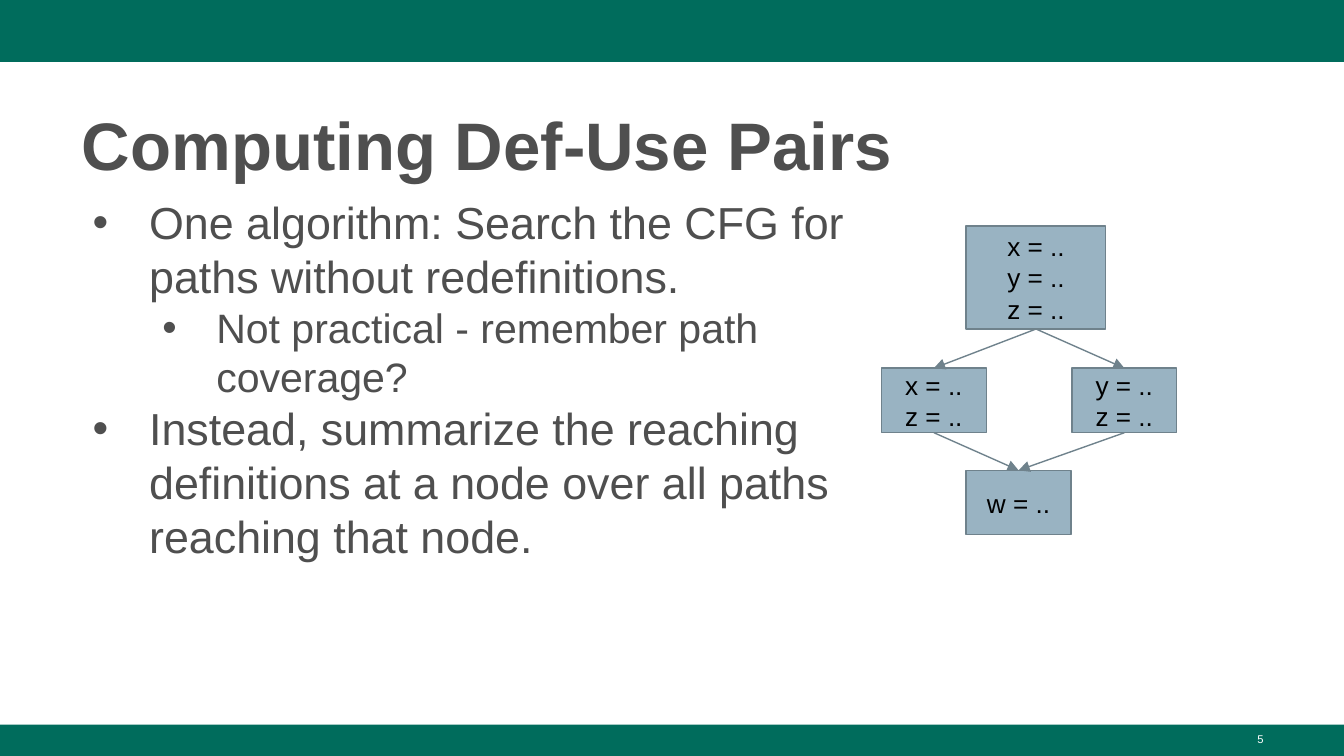
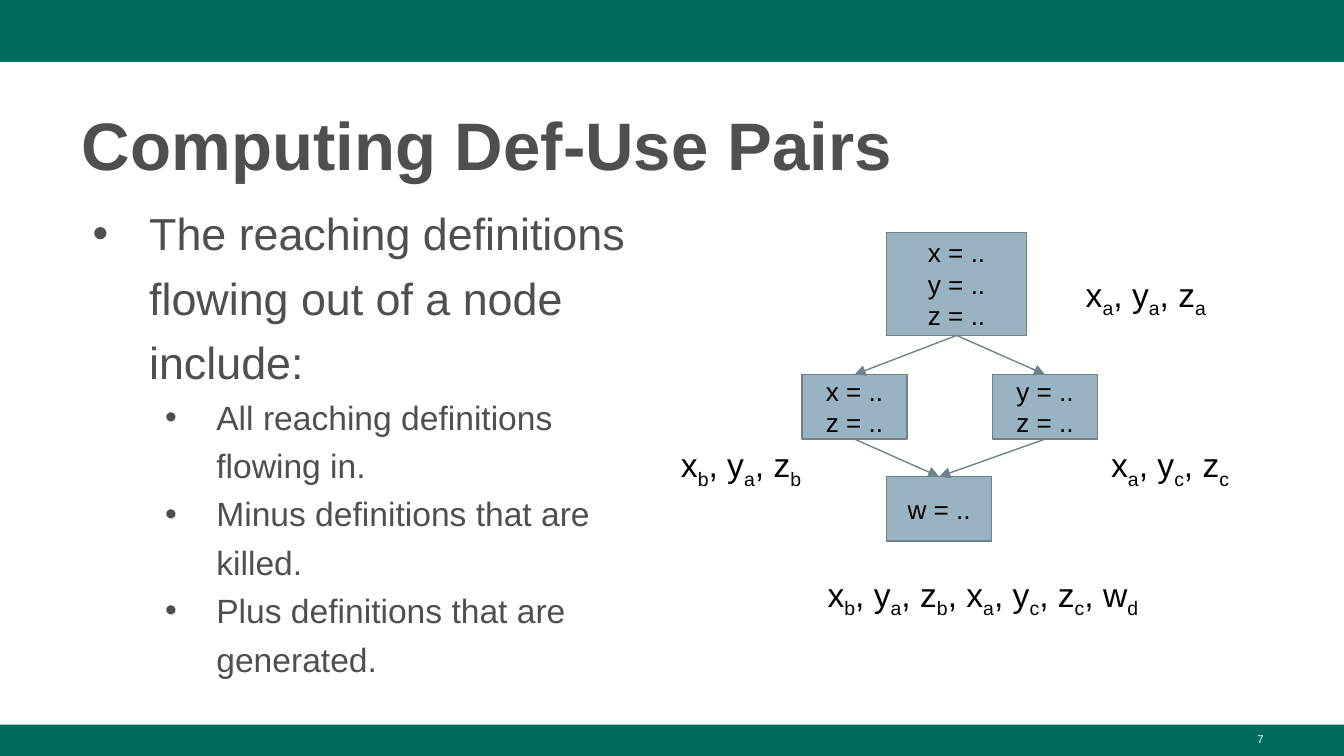
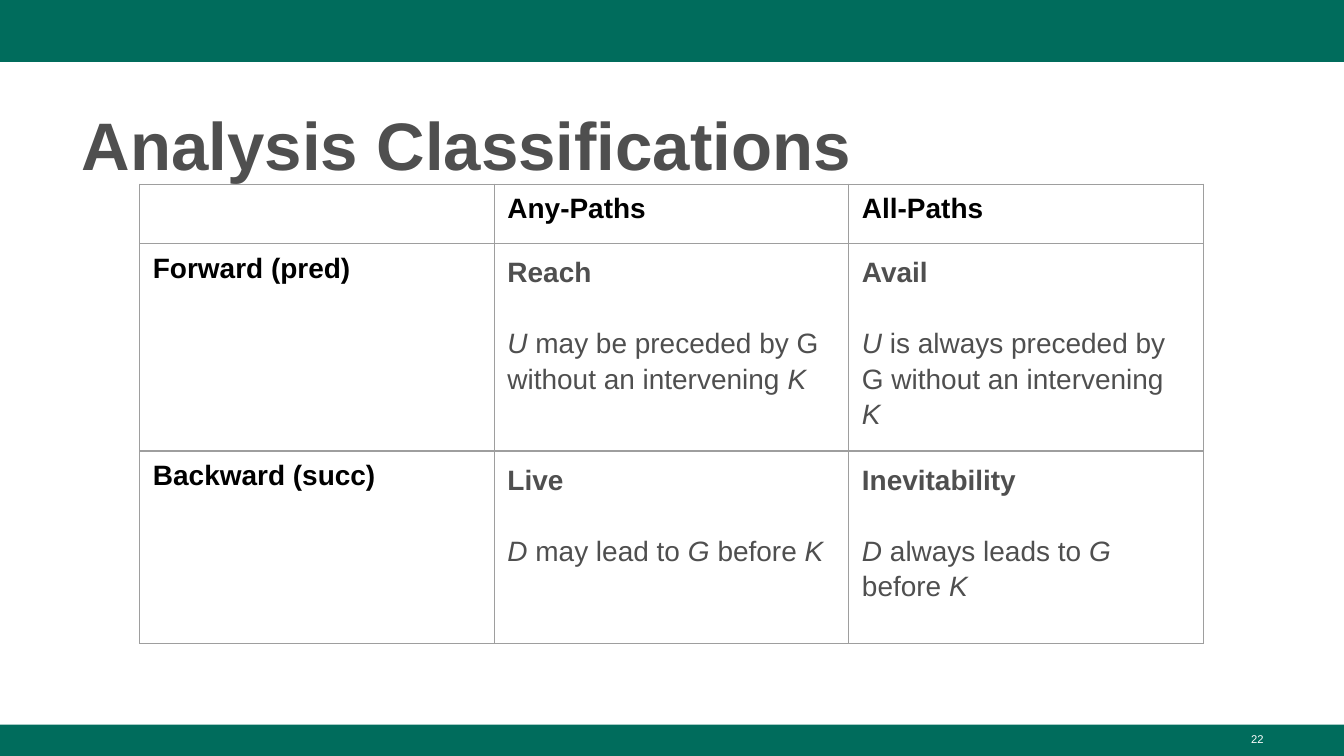
from dataclasses import dataclass
from typing import NamedTuple

from lxml import etree
from pptx import Presentation
from pptx.dml.color import RGBColor
from pptx.enum.shapes import MSO_CONNECTOR, MSO_SHAPE
from pptx.enum.text import MSO_ANCHOR, PP_ALIGN
from pptx.oxml.ns import qn
from pptx.util import Cm, Pt

RECTANGLE = MSO_SHAPE.RECTANGLE
STRAIGHT = MSO_CONNECTOR.STRAIGHT
MIDDLE, TOP = MSO_ANCHOR.MIDDLE, MSO_ANCHOR.TOP
LEFT, CENTER, RIGHT = PP_ALIGN.LEFT, PP_ALIGN.CENTER, PP_ALIGN.RIGHT
SIDE_TOP, SIDE_BOTTOM = 0, 2

FONT = "Arial"
COLORS = {
    "band": "006C5C",
    "text": "4F4F4F",
    "black": "000000",
    "white": "FFFFFF",
    "node": "99B3C2",
    "edge": "6F828C",
    "grid": "9E9E9E",
}
PAGE_WIDTH, PAGE_HEIGHT = 25.4, 14.29
WIDE_INSET, THIN_INSET, CELL_INSET = 0.25, 0.13, 0.18
LINE_WIDTH = Pt(0.75)


class Area(NamedTuple):
    """A rectangle in centimetres."""
    left: float
    top: float
    width: float
    height: float

    def lengths(self) -> tuple:
        return tuple(Cm(value) for value in self)


@dataclass
class Style:
    size: float
    color: str = "text"
    bold: bool = False


@dataclass
class Bullet:
    text: str
    size: float
    level: int = 0
    hanging: float = 1.07


@dataclass
class Node:
    """A flow graph node, placed relative to the graph's corner."""
    area: Area
    lines: list[str]


@dataclass
class Label:
    """Definitions such as "xa yb": a variable and its subscript."""
    area: Area
    definitions: str


BANDS = [Area(0, 0, PAGE_WIDTH, 1.17), Area(0, 13.7, PAGE_WIDTH, 0.59)]
TITLE_AREA = Area(1.3, 1.7, 22.83, 1.86)
NUMBER_AREA = Area(18.21, 13.72, 5.92, 0.58)

TITLE_STYLE = Style(36, bold=True)
NUMBER_STYLE = Style(6, "white")
NODE_STYLE = Style(14, "black")
LABEL_STYLE = Style(18, "black")
HEADING_STYLE = Style(15, "black", bold=True)
NAME_STYLE = Style(15, bold=True)
CELL_STYLE = Style(15)

NODES = {
    "a": Node(Area(0, 0, 2.64, 1.95), ["x = ..", "y = ..", "z = .."]),
    "b": Node(Area(-1.6, 2.69, 1.98, 1.22), ["x = ..", "z = .."]),
    "c": Node(Area(2, 2.69, 1.98, 1.22), ["y = ..", "z = .."]),
    "d": Node(Area(0, 4.62, 1.98, 1.22), ["w = .."]),
}
EDGES = ["ab", "ac", "bd", "cd"]

SEARCH_BULLETS = [
    Bullet("One algorithm: Search the CFG for paths without redefinitions.", 24),
    Bullet("Not practical - remember path coverage?", 22, 1, 1.02),
    Bullet("Instead, summarize the reaching definitions at a node over all "
           "paths reaching that node.", 24),
]
FLOW_BULLETS = [
    Bullet("The reaching definitions flowing out of a node include:", 24),
    Bullet("All reaching definitions flowing in.", 18, 1, 0.97),
    Bullet("Minus definitions that are killed.", 18, 1, 0.97),
    Bullet("Plus definitions that are generated.", 18, 1, 0.97),
]
LABELS = [
    Label(Area(20.27, 4.93, 3.38, 1.55), "xa ya za"),
    Label(Area(20.75, 8.15, 3.38, 1.55), "xa yc zc"),
    Label(Area(12.62, 8.15, 3.38, 1.55), "xb ya zb"),
    Label(Area(15.39, 10.59, 7.24, 1.55), "xb ya zb xa yc zc wd"),
]

COLUMN_HEADS = ["Any-Paths", "All-Paths"]
ROW_HEADS = ["Forward (pred)", "Backward (succ)"]
# Asterisks enclose italics.
ANALYSES = [
    [("Reach", "*U *may be preceded by G without an intervening *K*"),
     ("Avail", "*U *is always preceded by G without an intervening *K*")],
    [("Live", "*D *may lead to *G* before *K*"),
     ("Inevitability", "*D *always leads to *G* before *K*")],
]
TABLE_CORNER = (2.64, 3.48)
COLUMN_WIDTH = 6.7
ROW_HEIGHTS = [1.1, 3.73, 3.64]


def rgb(name: str) -> RGBColor:
    return RGBColor.from_string(COLORS[name])


def add_span(para, text: str, style: Style, italic: bool = False):
    span = para.add_run()
    span.text = text
    span.font.name = FONT
    span.font.size = Pt(style.size)
    span.font.bold = style.bold
    span.font.italic = italic
    span.font.color.rgb = rgb(style.color)
    return span


def next_para(frame, first: bool):
    return frame.paragraphs[0] if first else frame.add_paragraph()


def set_frame(frame, side: float, upright: float, anchor=TOP) -> None:
    frame.word_wrap = True
    frame.vertical_anchor = anchor
    frame.margin_left = frame.margin_right = Cm(side)
    frame.margin_top = frame.margin_bottom = Cm(upright)


def add_text_box(page, area: Area, upright: float = THIN_INSET):
    frame = page.shapes.add_textbox(*area.lengths()).text_frame
    set_frame(frame, WIDE_INSET, upright)
    return frame


def add_rectangle(page, area: Area, fill: str, line: str | None = None):
    box = page.shapes.add_shape(RECTANGLE, *area.lengths())
    box.shadow.inherit = False
    box.fill.solid()
    box.fill.fore_color.rgb = rgb(fill)
    if line:
        box.line.color.rgb = rgb(line)
        box.line.width = LINE_WIDTH
    else:
        box.line.fill.background()
    return box


def add_page(deck, title: str, number: int):
    """Add a page with its bands, title and page number."""
    page = deck.slides.add_slide(deck.slide_layouts[6])
    for band in BANDS:
        add_rectangle(page, band, "band")
    para = add_text_box(page, TITLE_AREA).paragraphs[0]
    para.line_spacing = 1.08
    add_span(para, title, TITLE_STYLE)
    para = add_text_box(page, NUMBER_AREA).paragraphs[0]
    para.alignment = RIGHT
    add_span(para, str(number), NUMBER_STYLE)
    return page


def add_bullets(page, width: float, bullets: list[Bullet], spacing: float) -> None:
    frame = add_text_box(page, Area(1.3, 3.56, width, 9.68))
    for index, bullet in enumerate(bullets):
        para = next_para(frame, index == 0)
        para.level = bullet.level
        para.line_spacing = spacing
        properties = para._p.get_or_add_pPr()
        properties.set("marL", str(Cm(1.27 * (bullet.level + 1))))
        properties.set("indent", str(-Cm(bullet.hanging)))
        color = etree.SubElement(properties, qn("a:buClr"))
        etree.SubElement(color, qn("a:srgbClr"), val=COLORS["text"])
        etree.SubElement(properties, qn("a:buFont"), typeface=FONT)
        etree.SubElement(properties, qn("a:buChar"), char="•")
        add_span(para, bullet.text, Style(bullet.size))


def add_arrow(page, start, end) -> None:
    """Join the bottom of one box to the top of another."""
    arrow = page.shapes.add_connector(STRAIGHT, 0, 0, 0, 0)
    arrow.begin_connect(start, SIDE_BOTTOM)
    arrow.end_connect(end, SIDE_TOP)
    arrow.line.color.rgb = rgb("edge")
    arrow.line.width = LINE_WIDTH
    etree.SubElement(arrow.line._get_or_add_ln(), qn("a:tailEnd"), type="triangle")
    etree.SubElement(arrow._element.spPr, qn("a:effectLst"))


def add_flow_graph(page, left: float, top: float) -> None:
    boxes = {}
    for name, node in NODES.items():
        area = node.area._replace(left=left + node.area.left, top=top + node.area.top)
        box = add_rectangle(page, area, "node", "edge")
        set_frame(box.text_frame, WIDE_INSET, WIDE_INSET, MIDDLE)
        for index, line in enumerate(node.lines):
            para = next_para(box.text_frame, index == 0)
            para.alignment = CENTER
            add_span(para, line, NODE_STYLE)
        boxes[name] = box
    for start, end in EDGES:
        add_arrow(page, boxes[start], boxes[end])


def add_label(page, label: Label) -> None:
    para = add_text_box(page, label.area, WIDE_INSET).paragraphs[0]
    for index, (variable, node) in enumerate(label.definitions.split()):
        add_span(para, f", {variable}" if index else variable, LABEL_STYLE)
        subscript = add_span(para, node, LABEL_STYLE)
        subscript._r.get_or_add_rPr().set("baseline", "-25000")


def set_cell(cell) -> None:
    """Give a cell its insets, no fill and a border on all sides."""
    cell.margin_left = cell.margin_right = Cm(WIDE_INSET)
    cell.margin_top = cell.margin_bottom = Cm(CELL_INSET)
    cell.fill.background()
    properties = cell._tc.get_or_add_tcPr()
    for index, side in enumerate(["lnL", "lnR", "lnT", "lnB"]):
        line = etree.Element(qn(f"a:{side}"), w=str(LINE_WIDTH))
        fill = etree.SubElement(line, qn("a:solidFill"))
        etree.SubElement(fill, qn("a:srgbClr"), val=COLORS["grid"])
        properties.insert(index, line)


def fill_analysis(cell, name: str, meaning: str) -> None:
    para = cell.text_frame.paragraphs[0]
    para.line_spacing = 1.14
    add_span(para, name, NAME_STYLE)
    para = cell.text_frame.add_paragraph()
    para.line_spacing = 1.14
    para.space_before = Pt(19)
    for index, text in enumerate(meaning.split("*")):
        if text:
            add_span(para, text, CELL_STYLE, italic=index % 2 == 1)


def add_analysis_table(page) -> None:
    columns = len(COLUMN_HEADS) + 1
    area = Area(*TABLE_CORNER, columns * COLUMN_WIDTH, sum(ROW_HEIGHTS))
    table = page.shapes.add_table(len(ROW_HEIGHTS), columns, *area.lengths()).table
    table.first_row = table.horz_banding = False
    for row, height in zip(table.rows, ROW_HEIGHTS):
        row.height = Cm(height)
    for column in table.columns:
        column.width = Cm(COLUMN_WIDTH)
    for cell in table.iter_cells():
        set_cell(cell)
    for index, head in enumerate(COLUMN_HEADS, 1):
        add_span(table.cell(0, index).text_frame.paragraphs[0], head, HEADING_STYLE)
    for row, (head, analyses) in enumerate(zip(ROW_HEADS, ANALYSES), 1):
        add_span(table.cell(row, 0).text_frame.paragraphs[0], head, HEADING_STYLE)
        for column, (name, meaning) in enumerate(analyses, 1):
            fill_analysis(table.cell(row, column), name, meaning)


def main() -> None:
    deck = Presentation()
    deck.slide_width, deck.slide_height = Cm(PAGE_WIDTH), Cm(PAGE_HEIGHT)

    page = add_page(deck, "Computing Def-Use Pairs", 5)
    add_bullets(page, 15.62, SEARCH_BULLETS, 1.0)
    add_flow_graph(page, 18.26, 4.27)

    page = add_page(deck, "Computing Def-Use Pairs", 7)
    add_bullets(page, 11.33, FLOW_BULLETS, 1.2)
    add_flow_graph(page, 16.76, 4.39)
    for label in LABELS:
        add_label(page, label)

    page = add_page(deck, "Analysis Classifications", 22)
    add_analysis_table(page)

    deck.save("out.pptx")


if __name__ == "__main__":
    main()
